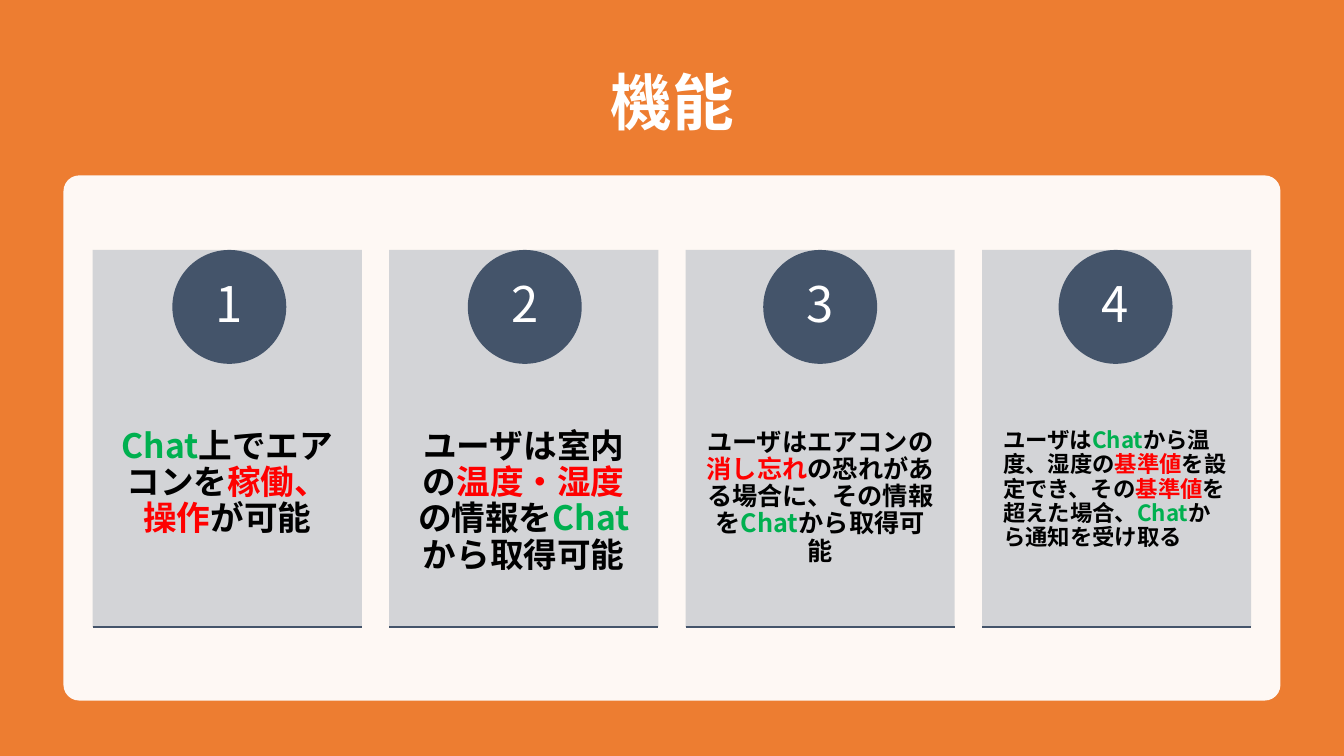
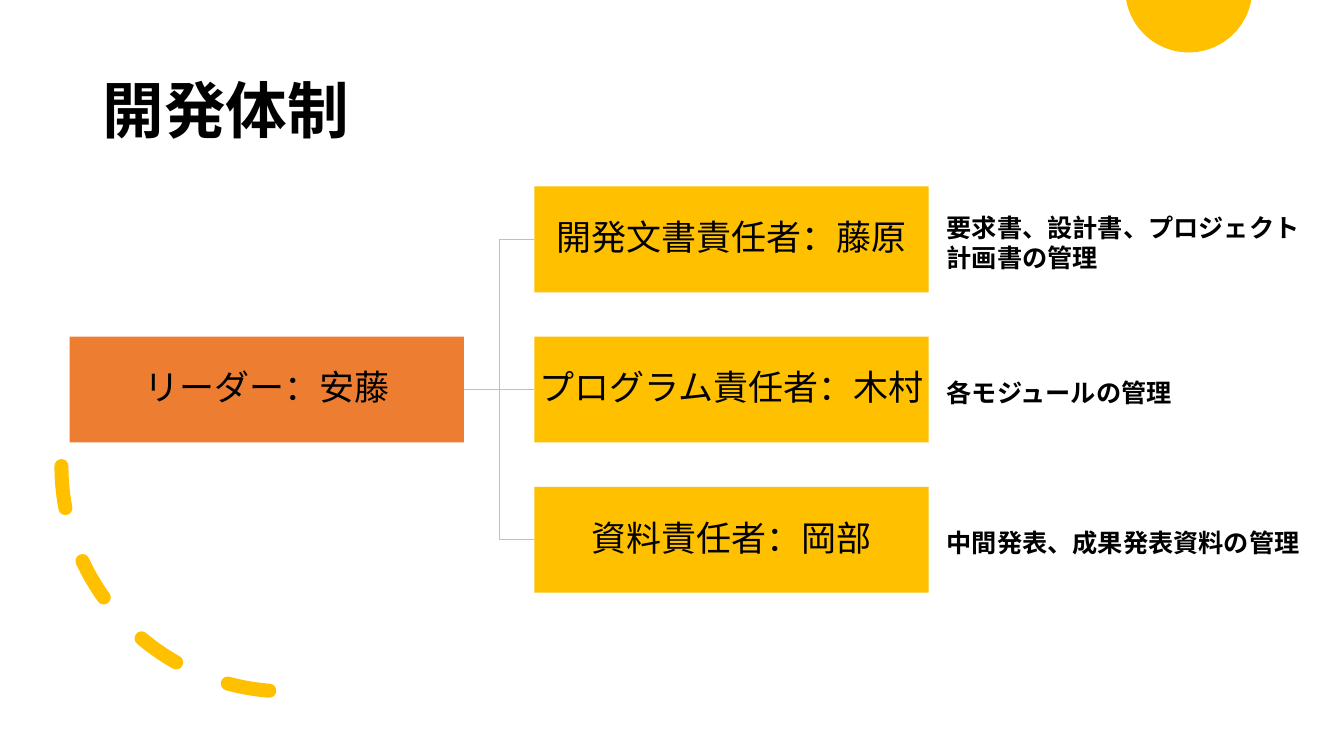
import math

from lxml import etree
from pptx import Presentation
from pptx.dml.color import RGBColor
from pptx.enum.dml import MSO_LINE
from pptx.enum.shapes import MSO_CONNECTOR, MSO_SHAPE
from pptx.enum.text import MSO_ANCHOR, PP_ALIGN
from pptx.oxml.ns import qn
from pptx.util import Inches, Pt

RECTANGLE, ROUNDED = MSO_SHAPE.RECTANGLE, MSO_SHAPE.ROUNDED_RECTANGLE
OVAL, ARC = MSO_SHAPE.OVAL, MSO_SHAPE.ARC
STRAIGHT, ELBOW = MSO_CONNECTOR.STRAIGHT, MSO_CONNECTOR.ELBOW
LEFT, CENTER = PP_ALIGN.LEFT, PP_ALIGN.CENTER
TOP, MIDDLE = MSO_ANCHOR.TOP, MSO_ANCHOR.MIDDLE
DASH = MSO_LINE.DASH

FONT = "Noto Sans CJK JP"
COLORS = {
    "orange": "ED7D31", "yellow": "FFC000", "white": "FFFFFF", "black": "000000",
    "slate": "44546A", "card": "CFD1D4", "green": "00B050", "red": "FF0000",
    "link": "BFBFBF",
}
LEFT_SITE, RIGHT_SITE = 1, 3

SERVICE = ("Chat", "green")
FEATURES = [
    (24, CENTER, [SERVICE, ("上でエアコンを", "black"), ("稼働、操作", "red"),
                  ("が可能", "black")]),
    (24, CENTER, [("ユーザは室内の", "black"), ("温度・湿度", "red"),
                  ("の情報を", "black"), SERVICE, ("から取得可能", "black")]),
    (18, CENTER, [("ユーザはエアコンの", "black"), ("消し忘れ", "red"),
                  ("の恐れがある場合に、その情報を", "black"), SERVICE,
                  ("から取得可能", "black")]),
    (16, LEFT, [("ユーザは", "black"), SERVICE, ("から温度、湿度の", "black"),
                ("基準値", "red"), ("を設定でき、その", "black"), ("基準値", "red"),
                ("を超えた場合、", "black"), SERVICE, ("から通知を受け取る", "black")]),
]
LEADER = "リーダー：安藤"
ROLES = [
    ("開発文書責任者：藤原", "要求書、設計書、プロジェクト計画書の管理"),
    ("プログラム責任者：木村", "各モジュールの管理"),
    ("資料責任者：岡部", "中間発表、成果発表資料の管理"),
]


def rgb(name):
    """Return the named colour."""
    return RGBColor.from_string(COLORS[name])


def paint(shape, color, opacity=100):
    """Fill a shape flatly, without outline or shadow."""
    shape.shadow.inherit = False
    shape.fill.solid()
    shape.fill.fore_color.rgb = rgb(color)
    shape.line.fill.background()
    if opacity < 100:
        tint = shape.element.spPr.find(qn("a:solidFill"))[0]
        etree.SubElement(tint, qn("a:alpha")).set("val", str(opacity * 1000))


def add_block(page, kind, area, color, opacity=100):
    """Add a painted preset shape in an area given in inches."""
    shape = page.shapes.add_shape(kind, *map(Inches, area))
    paint(shape, color, opacity)
    return shape


def write(shape, spans, size, bold=False, align=CENTER, anchor=MIDDLE,
          insets=(0.02, 0.02, 0.02, 0.02), spacing=0.9):
    """Write one paragraph of coloured spans into a shape."""
    frame = shape.text_frame
    frame.word_wrap = True
    frame.vertical_anchor = anchor
    (frame.margin_left, frame.margin_top,
     frame.margin_right, frame.margin_bottom) = map(Inches, insets)
    para = frame.paragraphs[0]
    para.alignment = align
    para.line_spacing = spacing
    for text, color in spans:
        span = para.add_run()
        span.text = text
        span.font.size = Pt(size)
        span.font.bold = bold
        span.font.name = FONT
        span.font.color.rgb = rgb(color)
        east_asian = etree.SubElement(span.font._element, qn("a:ea"))
        east_asian.set("typeface", FONT)


def add_label(page, area, text, color, size, align=LEFT, spacing=0.9):
    """Add a bold text box with the usual insets."""
    box = page.shapes.add_textbox(*map(Inches, area))
    write(box, [(text, color)], size, True, align, MIDDLE,
          (0.1, 0.05, 0.1, 0.05), spacing)


def add_title(page, top, height, text, color, align):
    """Add the slide title."""
    add_label(page, (0.92, top, 11.5, height), text, color, 44, align)


def add_line(page, kind, start, end, color, width):
    """Add a connector without shadow between two points in inches."""
    line = page.shapes.add_connector(kind, *map(Inches, (*start, *end)))
    line.line.color.rgb = rgb(color)
    line.line.width = Pt(width)
    etree.SubElement(line.element.spPr, qn("a:effectLst"))
    return line


def add_feature_cards(page, left, top, width, height):
    """Place the numbered cards side by side in a box."""
    count, card_width, badge, badge_pitch = len(FEATURES), 2.67, 1.13, 2.93
    pitch = (width - card_width) / (count - 1)
    bottom = top + height
    for index, (size, align, spans) in enumerate(FEATURES):
        x = left + index * pitch
        card = add_block(page, RECTANGLE, (x, top, card_width, height), "card", 90)
        write(card, spans, size, True, align, TOP, (0.21, 1.78, 0.21, 0.36))
        circle_left = left + 0.79 + index * badge_pitch
        circle = add_block(page, OVAL, (circle_left, top, badge, badge), "slate")
        write(circle, [(str(index + 1), "white")], 35)
        add_line(page, STRAIGHT, (x, bottom), (x + card_width, bottom), "slate", 1.5)


def add_team_chart(page, left, top):
    """Place the leader, the linked roles and their duties."""
    width, height, pitch = 3.91, 1.05, 1.49
    role_left = left + 4.61
    leader_top = top + pitch * (len(ROLES) - 1) / 2
    leader = add_block(page, RECTANGLE, (left, leader_top, width, height), "orange")
    write(leader, [(LEADER, "black")], 25)
    start = (left + width, leader_top + height / 2)
    for index, (role, duty) in enumerate(ROLES):
        y = top + index * pitch
        box = add_block(page, RECTANGLE, (role_left, y, width, height), "yellow")
        write(box, [(role, "black")], 25)
        kind = STRAIGHT if y == leader_top else ELBOW
        link = add_line(page, kind, start, (role_left, y + height / 2), "link", 0.75)
        link.begin_connect(leader, RIGHT_SITE)
        link.end_connect(box, LEFT_SITE)
        add_label(page, (role_left + 3.99, y + 0.03, 3.75, height),
                  duty, "black", 18, spacing=1.0)


def add_top_disc(page, center, radius, drop):
    """Draw the disc cut off by the top edge."""
    edge = math.asin((radius - drop) / radius)
    steps = 60
    angles = [edge + (math.pi - 2 * edge) * step / steps for step in range(steps + 1)]
    points = [(Inches(center + radius * math.cos(angle)),
               Inches(drop - radius + radius * math.sin(angle))) for angle in angles]
    builder = page.shapes.build_freeform(*points[0])
    builder.add_line_segments(points[1:], close=True)
    paint(builder.convert_to_shape(), "yellow")


def add_dashed_arc(page, left, top, size):
    """Draw the dashed quarter circle at the lower left of a box."""
    arc = page.shapes.add_shape(ARC, *map(Inches, (left, top, size, size)))
    arc.shadow.inherit = False
    arc.fill.background()
    arc.rotation = 90
    arc.element.spPr.xfrm.set("flipV", "1")
    arc.line.color.rgb = rgb("yellow")
    arc.line.width = Pt(10)
    arc.line.dash_style = DASH
    arc.element.spPr.find(qn("a:ln")).set("cap", "rnd")


def build_features(page):
    """Build the slide of functions."""
    page.background.fill.solid()
    page.background.fill.fore_color.rgb = rgb("orange")
    add_title(page, 0.5, 1.1, "機能", "white", CENTER)
    panel = add_block(page, ROUNDED, (0.63, 1.74, 12.07, 5.21), "white", 95)
    panel.adjustments[0] = 0.03
    add_feature_cards(page, 0.92, 2.48, 11.49, 3.74)


def build_team(page):
    """Build the slide of the development team."""
    add_top_disc(page, 11.79, 0.63, 0.52)
    add_title(page, 0.4, 1.45, "開発体制", "black", LEFT)
    add_dashed_arc(page, 0.61, 2.39, 4.47)
    add_team_chart(page, 0.69, 1.85)


def main():
    """Build and save the deck."""
    deck = Presentation()
    deck.slide_width, deck.slide_height = Inches(13.33), Inches(7.5)
    for build in (build_features, build_team):
        build(deck.slides.add_slide(deck.slide_layouts[6]))
    deck.save("out.pptx")


if __name__ == "__main__":
    main()
